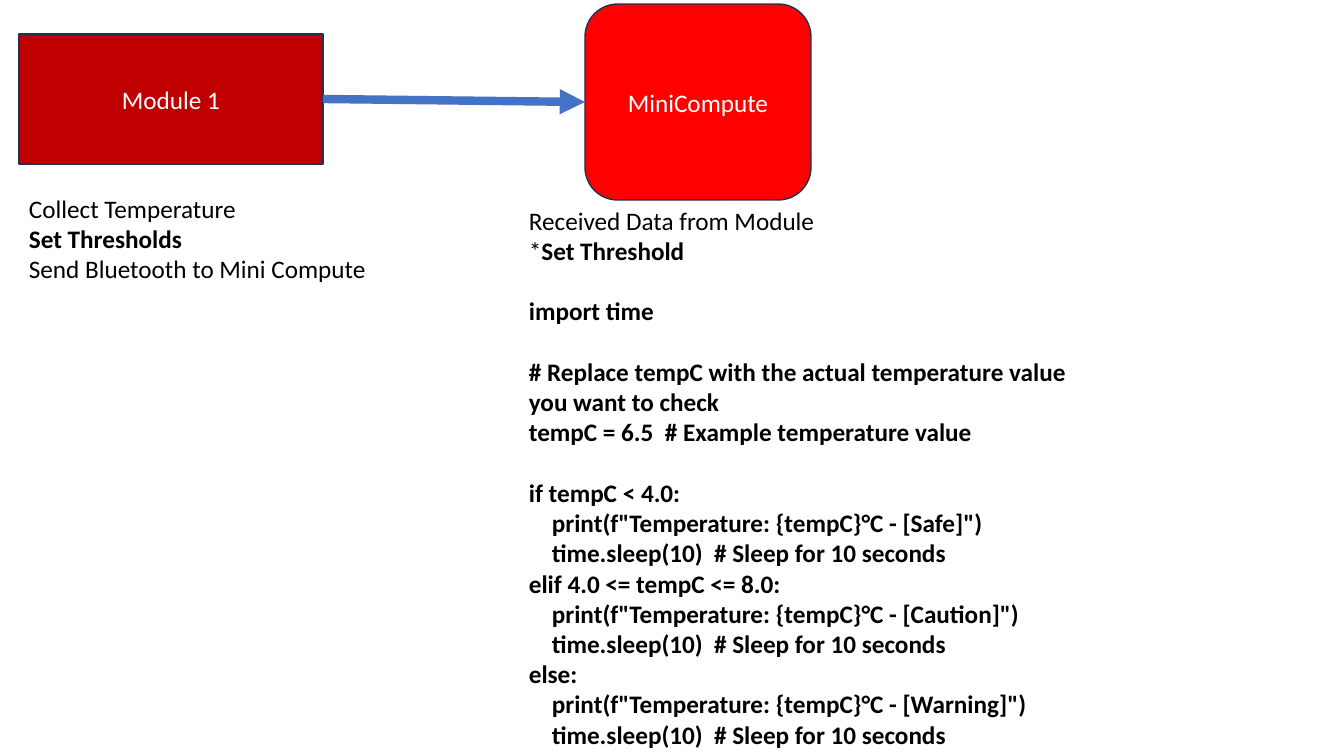
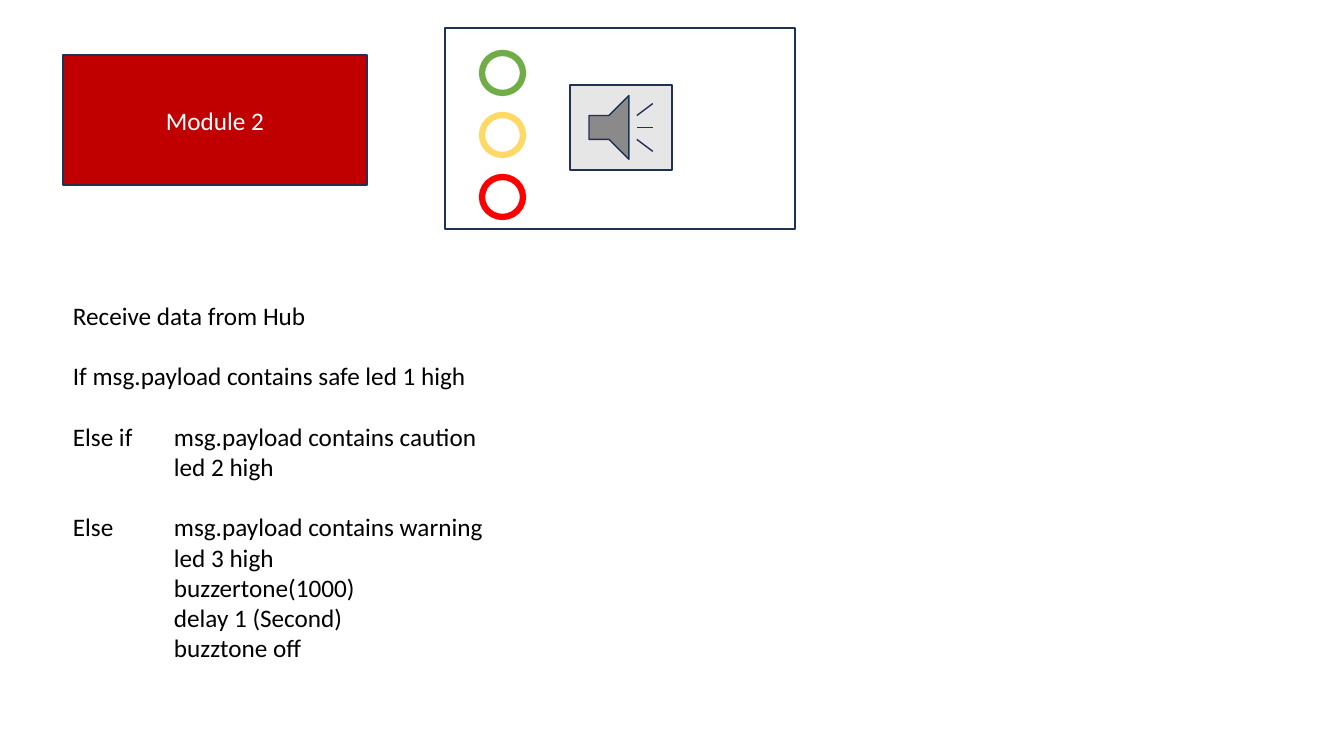
from pptx import Presentation
from pptx.dml.color import RGBColor
from pptx.enum.shapes import MSO_CONNECTOR, MSO_SHAPE as Shape
from pptx.enum.text import MSO_ANCHOR as Anchor, PP_ALIGN as Align
from pptx.oxml.ns import qn
from pptx.util import Pt
from lxml.etree import SubElement

PX = 9071
BLACK, WHITE, NAVY = "000000", "FFFFFF", "1E3256"
DARK_RED, RED, GREEN, YELLOW = "C00000", "FF0000", "70AD47", "FFD966"
BLUE, GRAY = "4472C4", "E7E6E6"
LINE_GAP = 21.6
CODE_INDENT, TAB_INDENT = 23, 101
BOARD_SIZE = (304, 130)
paint = RGBColor.from_string


def write(box, text, prefix="", color=BLACK, bold=False, align=Align.LEFT,
          margin=0, hanging=0, gap=0):
    frame = box.text_frame
    frame.word_wrap = True
    para = frame.paragraphs[0]
    if para.runs:
        para = frame.add_paragraph()
    para.alignment = align
    para.space_before = Pt(gap)
    properties = para._p.get_or_add_pPr()
    properties.set("marL", str(margin * PX))
    properties.set("indent", str(-hanging * PX))
    for words, heavy in ((prefix, False), (text, bold)):
        if words:
            span = para.add_run()
            span.text = words
            span.font.name = "Calibri"
            span.font.size = Pt(18)
            span.font.bold = heavy
            span.font.color.rgb = paint(color)


def add_box(page, kind, left, top, width, height, fill=None, line=NAVY,
            weight=1, label=""):
    box = page.shapes.add_shape(kind, left * PX, top * PX, width * PX, height * PX)
    box.shadow.inherit = False
    if fill:
        box.fill.solid()
        box.fill.fore_color.rgb = paint(fill)
    else:
        box.fill.background()
    box.line.color.rgb = paint(line)
    box.line.width = Pt(weight)
    if label:
        box.text_frame.vertical_anchor = Anchor.MIDDLE
        write(box, label, color=WHITE, align=Align.CENTER)
    return box


deck = Presentation()
deck.slide_width, deck.slide_height = 1344 * PX, 756 * PX
blank = deck.slide_layouts[6]

page = deck.slides.add_slide(blank)
sender = add_box(page, Shape.RECTANGLE, 19, 34, *BOARD_SIZE,
                 fill=DARK_RED, label="Module 1")
receiver = add_box(page, Shape.ROUNDED_RECTANGLE, 585, 4, 226, 196,
                   fill=RED, label="MiniCompute")

tasks = page.shapes.add_textbox(19 * PX, 188 * PX, 362 * PX, 102 * PX)
write(tasks, "Collect Temperature")
write(tasks, "Set Thresholds", bold=True)
write(tasks, "Send Bluetooth to Mini Compute")

arrow = page.shapes.add_connector(MSO_CONNECTOR.STRAIGHT, 0, 0, 0, 0)
arrow.begin_connect(sender, 3)
arrow.end_connect(receiver, 1)
arrow.line.color.rgb = paint(BLUE)
arrow.line.width = Pt(6)
SubElement(arrow.line._get_or_add_ln(), qn("a:tailEnd"), type="triangle")
SubElement(arrow._element.spPr, qn("a:effectLst"))

code = page.shapes.add_textbox(519 * PX, 200 * PX, 586 * PX, 591 * PX)
write(code, "Received Data from Module")
write(code, "Set Threshold", prefix="*", bold=True)
write(code, "import time", bold=True, gap=LINE_GAP)
write(code, "# Replace tempC with the actual temperature value you want to check",
      bold=True, gap=LINE_GAP)
write(code, "tempC = 6.5  # Example temperature value", bold=True)
branches = [
    ("if tempC < 4.0:", "Safe", LINE_GAP),
    ("elif 4.0 <= tempC <= 8.0:", "Caution", 0),
    ("else:", "Warning", 0),
]
for condition, level, gap in branches:
    write(code, condition, bold=True, gap=gap)
    for step in (f'print(f"Temperature: {{tempC}}°C - [{level}]")',
                 "time.sleep(10)  # Sleep for 10 seconds"):
        write(code, step, bold=True, margin=CODE_INDENT)

page = deck.slides.add_slide(blank)
add_box(page, Shape.RECTANGLE, 63, 55, *BOARD_SIZE, fill=DARK_RED, label="Module 2")
for row, led_color in enumerate((GREEN, YELLOW, RED)):
    add_box(page, Shape.OVAL, 482, 53 + row * 62, 41, 40,
            fill=WHITE, line=led_color, weight=4.5)
add_box(page, Shape.ACTION_BUTTON_SOUND, 570, 85, 102, 85, fill=GRAY)
add_box(page, Shape.RECTANGLE, 445, 28, 350, 201)

logic = page.shapes.add_textbox(63 * PX, 295 * PX, 689 * PX, 437 * PX)
write(logic, "Receive data from Hub")
write(logic, "If msg.payload contains safe led 1 high", gap=LINE_GAP)
actions = [
    ("Else if\tmsg.payload contains caution", ["led 2 high"]),
    ("Else\tmsg.payload contains warning",
     ["led 3 high", "buzzertone(1000)", "delay 1 (Second)", "buzztone off"]),
]
for condition, steps in actions:
    write(logic, condition, margin=TAB_INDENT, hanging=TAB_INDENT, gap=LINE_GAP)
    for step in steps:
        write(logic, step, margin=TAB_INDENT)

deck.save("out.pptx")
